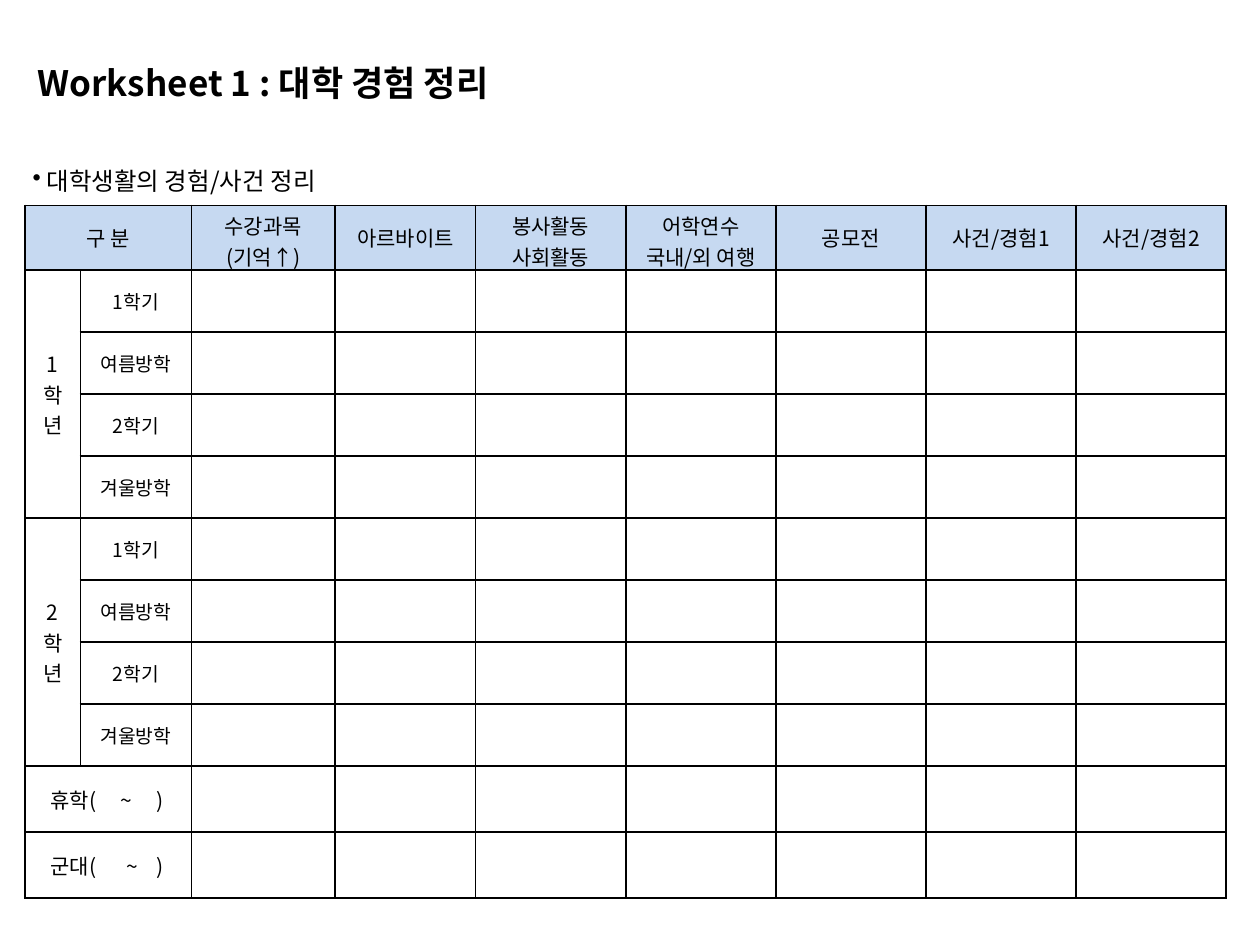
from dataclasses import dataclass

from lxml.etree import SubElement
from pptx import Presentation
from pptx.dml.color import RGBColor
from pptx.enum.text import MSO_ANCHOR, PP_ALIGN
from pptx.oxml.ns import qn
from pptx.util import Pt


@dataclass(frozen=True)
class Theme:
    font: str = "Noto Sans CJK KR"
    ink: str = "000000"
    header_fill: str = "C6D9F1"
    title: int = 20
    lead: int = 14
    label: int = 12
    term: int = 11


THEME = Theme()


def write(frame, lines, size, bold=False, align=PP_ALIGN.LEFT):
    """Write one paragraph per line, with the font set for Latin and Korean."""
    for index, line in enumerate(lines):
        paragraph = frame.paragraphs[0] if index == 0 else frame.add_paragraph()
        paragraph.alignment = align
        run = paragraph.add_run()
        run.text = line
        run.font.size = Pt(size)
        run.font.bold = bold
        run.font.name = THEME.font
        run.font.color.rgb = RGBColor.from_string(THEME.ink)
        SubElement(run.font._element, qn("a:ea"), typeface=THEME.font)


def draw_borders(cell):
    properties = cell._tc.get_or_add_tcPr()
    for side in ("a:lnL", "a:lnR", "a:lnT", "a:lnB"):
        line = SubElement(properties, qn(side), w=str(Pt(1)))
        fill = SubElement(line, qn("a:solidFill"))
        SubElement(fill, qn("a:srgbClr"), val=THEME.ink)


presentation = Presentation()
presentation.slide_width, presentation.slide_height = Pt(720), Pt(540)
slide = presentation.slides.add_slide(presentation.slide_layouts[6])

# Title and lead line
title = slide.shapes.add_textbox(Pt(14.4), Pt(31.7), Pt(499), Pt(31.7)).text_frame
title.word_wrap = True
write(title, ["Worksheet 1 : 대학 경험 정리"], THEME.title, bold=True)

lead = slide.shapes.add_textbox(Pt(11.5), Pt(91.4), Pt(680.4), Pt(24.5)).text_frame
lead.word_wrap = True
write(lead, ["대학생활의 경험/사건 정리"], THEME.lead)
lead_properties = lead.paragraphs[0]._p.get_or_add_pPr()
lead_properties.set("marL", str(Pt(8)))
lead_properties.set("indent", str(Pt(-8)))
SubElement(lead_properties, qn("a:buChar"), char="•")

# Worksheet grid
column_widths = [31.8, 63.4, 82.2, 80.3] + [85.8] * 5
row_heights = [36.9] + [35.45] * 8 + [37.7] * 2
worksheet = slide.shapes.add_table(
    len(row_heights), len(column_widths), Pt(14.2), Pt(117.4),
    Pt(sum(column_widths)), Pt(sum(row_heights))).table
worksheet.first_row = worksheet.horz_banding = False
for column, width in zip(worksheet.columns, column_widths):
    column.width = Pt(width)
for row, height in zip(worksheet.rows, row_heights):
    row.height = Pt(height)

for row_index, row in enumerate(worksheet.rows):
    for cell in row.cells:
        draw_borders(cell)
        cell.vertical_anchor = MSO_ANCHOR.MIDDLE
        cell.margin_left = cell.margin_right = Pt(2.88)
        cell.margin_top = cell.margin_bottom = Pt(2.88)
        if row_index == 0:
            cell.fill.solid()
            cell.fill.fore_color.rgb = RGBColor.from_string(THEME.header_fill)
        else:
            cell.fill.background()

# Headings: the first one covers the year and term columns
worksheet.cell(0, 0).merge(worksheet.cell(0, 1))
write(worksheet.cell(0, 0).text_frame, ["구 분"], THEME.label, align=PP_ALIGN.CENTER)
activities = [
    ["수강과목", "(기억↑)"], ["아르바이트"], ["봉사활동", "사회활동"],
    ["어학연수", "국내/외 여행"], ["공모전"], ["사건/경험1"], ["사건/경험2"],
]
for column_index, activity in enumerate(activities, start=2):
    write(worksheet.cell(0, column_index).text_frame, activity, THEME.label,
          align=PP_ALIGN.CENTER)

# School years, each with its terms
terms = ["1학기", "여름방학", "2학기", "겨울방학"]
for year_index, year in enumerate("12"):
    first_row = 1 + year_index * len(terms)
    year_cell = worksheet.cell(first_row, 0)
    year_cell.merge(worksheet.cell(first_row + len(terms) - 1, 0))
    write(year_cell.text_frame, [year, "학", "년"], THEME.label, align=PP_ALIGN.CENTER)
    for row_index, term in enumerate(terms, start=first_row):
        write(worksheet.cell(row_index, 1).text_frame, [term], THEME.term,
              align=PP_ALIGN.CENTER)

# Leave periods: tab stops keep the blanks for the dates open
for row_index, leave, tilde_stop in [(9, "휴학", 40), (10, "군대", 43.4)]:
    leave_cell = worksheet.cell(row_index, 0)
    leave_cell.merge(worksheet.cell(row_index, 1))
    leave_cell.margin_left = Pt(14.6)
    write(leave_cell.text_frame, [f"{leave}(\t~\t)"], THEME.label)
    leave_properties = leave_cell.text_frame.paragraphs[0]._p.get_or_add_pPr()
    stops = SubElement(leave_properties, qn("a:tabLst"))
    for stop in (tilde_stop, 60.5):
        SubElement(stops, qn("a:tab"), pos=str(Pt(stop)), algn="l")

presentation.save("out.pptx")
